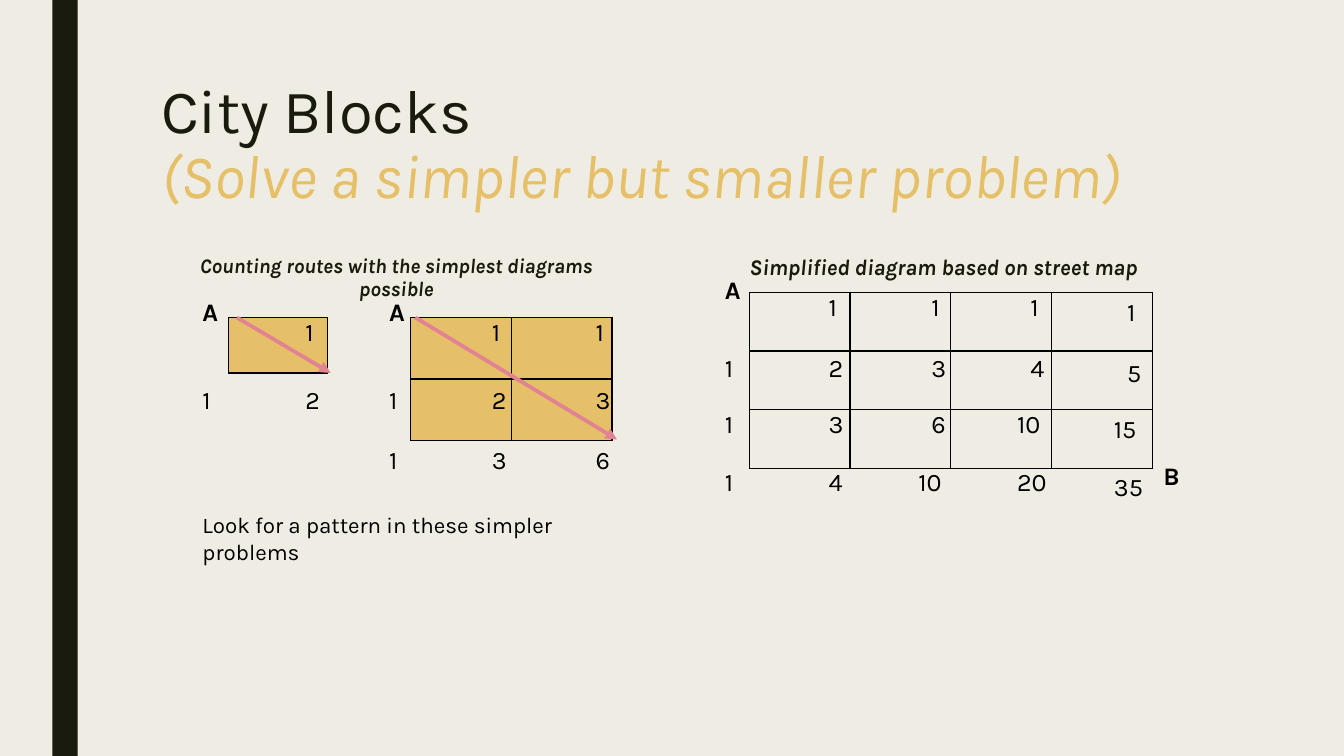
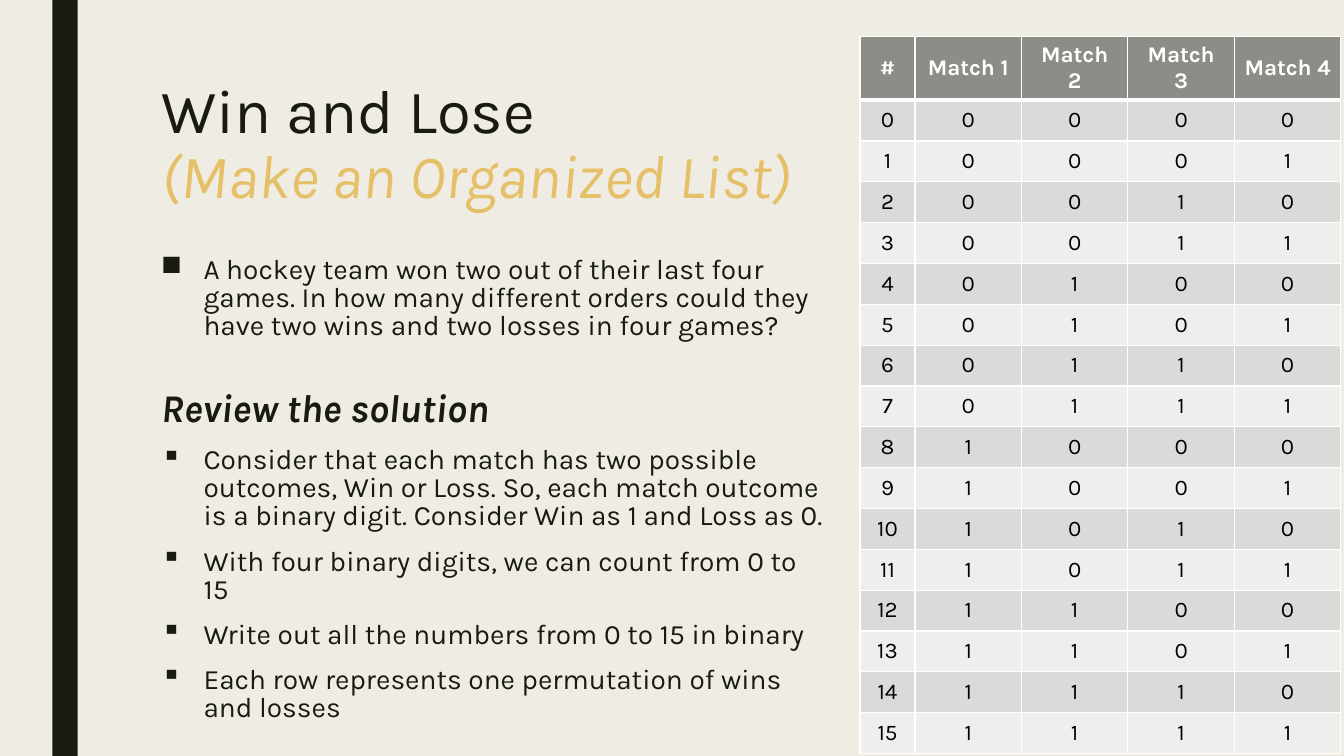
from dataclasses import dataclass
from itertools import product
from math import comb
from typing import NamedTuple

from lxml.etree import SubElement
from pptx import Presentation
from pptx.dml.color import RGBColor
from pptx.enum.shapes import MSO_CONNECTOR as Connector, MSO_SHAPE as Shape
from pptx.enum.text import MSO_ANCHOR as Anchor, PP_ALIGN as Align
from pptx.oxml.ns import qn
from pptx.util import Pt

EMU_PER_PX = 9144
FONT = "Karla"
BLACK = RGBColor(0x00, 0x00, 0x00)
WHITE = RGBColor(0xFF, 0xFF, 0xFF)
INK = RGBColor(0x19, 0x1B, 0x0E)
CREAM = RGBColor(0xEF, 0xED, 0xE3)
GOLD = RGBColor(0xE6, 0xC0, 0x69)
PINK = RGBColor(0xE2, 0x83, 0x94)
HEADER_GRAY = RGBColor(0x8C, 0x8D, 0x86)
BAND_DARK = RGBColor(0xDA, 0xDB, 0xD9)
BAND_LIGHT = RGBColor(0xEE, 0xEE, 0xED)


class Box(NamedTuple):
    left: int
    top: int
    width: int
    height: int


class Arrow(NamedTuple):
    start_x: int
    start_y: int
    end_x: int
    end_y: int


class BodyLine(NamedTuple):
    text: str
    bullet: str = ""
    size: int = 20
    emphasis: bool = False
    before: int = 10


@dataclass(frozen=True)
class RouteGrid:
    box: Box
    rows: int
    columns: int
    label_lefts: tuple[int, ...]
    label_tops: tuple[int, ...]
    start_top: int
    fill: RGBColor | None = None
    arrow: Arrow | None = None
    last_column_drop: int = 0


ROUTE_GRIDS = (
    RouteGrid(Box(227, 315, 98, 55), 1, 1, (191, 293), (309, 376), 289,
              GOLD, Arrow(235, 315, 328, 370)),
    RouteGrid(Box(407, 315, 200, 122), 2, 2, (376, 478, 581), (309, 376, 436), 289,
              GOLD, Arrow(412, 315, 612, 436)),
    RouteGrid(Box(743, 290, 400, 175), 3, 4, (709, 812, 914, 1012, 1108),
              (284, 345, 400, 458), 267, last_column_drop=5),
)

BODY_LINES = (
    BodyLine("A hockey team won two out of their last four games. In how many different "
             "orders could they have two wins and two losses in four games?", "■", before=0),
    BodyLine("Review the solution", size=28, emphasis=True, before=33),
    BodyLine("Consider that each match has two possible outcomes, Win or Loss. So, each "
             "match outcome is a binary digit. Consider Win as 1 and Loss as 0.", "▪"),
    BodyLine("With four binary digits, we can count from 0 to 15", "▪"),
    BodyLine("Write out all the numbers from 0 to 15 in binary", "▪"),
    BodyLine("Each row represents one permutation of wins and losses", "▪"),
)


def emu(px: int) -> int:
    return px * EMU_PER_PX


def place(box: Box) -> tuple[int, ...]:
    return tuple(emu(length) for length in box)


def add_run(paragraph, text: str, *, size: float = 18, color: RGBColor = BLACK,
            bold: bool = False, italic: bool = False) -> None:
    run = paragraph.add_run()
    run.text = text
    run.font.name = FONT
    run.font.size = Pt(size)
    run.font.color.rgb = color
    run.font.bold = bold
    run.font.italic = italic


def add_text_frame(slide, box: Box):
    frame = slide.shapes.add_textbox(*place(box)).text_frame
    frame.word_wrap = True
    return frame


def add_text(slide, box: Box, text: str, *, spacing: float = 1.0,
             align: Align = Align.LEFT, **run_format):
    paragraph = add_text_frame(slide, box).paragraphs[0]
    paragraph.line_spacing = spacing
    paragraph.alignment = align
    add_run(paragraph, text, **run_format)
    return paragraph


def add_base_slide(presentation, title: str, subtitle: str):
    slide = presentation.slides.add_slide(presentation.slide_layouts[6])
    band = slide.shapes.add_shape(Shape.RECTANGLE, *place(Box(52, 0, 25, 750)))
    band.shadow.inherit = False
    band.fill.solid()
    band.fill.fore_color.rgb = INK
    band.line.fill.background()
    paragraph = add_text(slide, Box(150, 75, 1050, 162), title,
                         spacing=0.89, size=44, color=INK)
    paragraph.add_line_break()
    add_run(paragraph, subtitle, size=44, color=GOLD, italic=True)
    return slide


def style_cell(cell, fill: RGBColor | None, border: RGBColor,
               top: int = 1, bottom: int = 1) -> None:
    properties = cell._tc.get_or_add_tcPr()
    for tag, width in (("a:lnL", 1), ("a:lnR", 1), ("a:lnT", top), ("a:lnB", bottom)):
        line = SubElement(properties, qn(tag), w=str(Pt(width)))
        solid = SubElement(line, qn("a:solidFill"))
        SubElement(solid, qn("a:srgbClr"), val=str(border))
    if fill is None:
        cell.fill.background()
    else:
        cell.fill.solid()
        cell.fill.fore_color.rgb = fill


def add_plain_table(slide, box: Box, rows: int, column_weights: tuple[int, ...]):
    table = slide.shapes.add_table(rows, len(column_weights), *place(box)).table
    table.first_row = False
    table.horz_banding = False
    for row in table.rows:
        row.height = emu(box.height) // rows
    for column, weight in zip(table.columns, column_weights):
        column.width = emu(box.width) * weight // sum(column_weights)
    return table


def add_arrow(slide, arrow: Arrow) -> None:
    connector = slide.shapes.add_connector(
        Connector.STRAIGHT, *(emu(length) for length in arrow))
    connector.line.color.rgb = PINK
    connector.line.width = Pt(2.75)
    SubElement(connector.line._get_or_add_ln(), qn("a:tailEnd"), type="triangle")
    SubElement(connector._element.spPr, qn("a:effectLst"))


def add_route_grid(slide, grid: RouteGrid) -> None:
    table = add_plain_table(slide, grid.box, grid.rows, (1,) * grid.columns)
    for cell in table.iter_cells():
        style_cell(cell, grid.fill, BLACK)
    add_text(slide, Box(grid.label_lefts[0], grid.start_top, 35, 40), "A", bold=True)
    for row, column in product(range(grid.rows + 1), range(grid.columns + 1)):
        if row == column == 0:
            continue
        routes = str(comb(row + column, row))
        extra = len(routes) - 1
        drop = grid.last_column_drop if column == grid.columns else 0
        add_text(slide, Box(grid.label_lefts[column] - 13 * extra,
                            grid.label_tops[row] + drop, 35 + 15 * extra, 40), routes)
    if grid.arrow:
        add_arrow(slide, grid.arrow)


def add_body(slide, box: Box, lines: tuple[BodyLine, ...]) -> None:
    frame = add_text_frame(slide, box)
    for index, line in enumerate(lines):
        paragraph = frame.add_paragraph() if index else frame.paragraphs[0]
        if line.bullet:
            properties = paragraph._p.get_or_add_pPr()
            properties.set("marL", str(emu(42)))
            properties.set("indent", str(-emu(42)))
            SubElement(properties, qn("a:buChar"), char=line.bullet)
        paragraph.line_spacing = 0.84
        paragraph.space_before = Pt(line.before)
        paragraph.space_after = Pt(2)
        add_run(paragraph, line.text, size=line.size, color=INK,
                bold=line.emphasis, italic=line.emphasis)


def add_match_table(slide, box: Box, matches: int) -> None:
    header = ["#"] + [f"Match {match}" for match in range(1, matches + 1)]
    records = [[str(number), *f"{number:0{matches}b}"] for number in range(2 ** matches)]
    table = add_plain_table(slide, box, len(records) + 1, (16,) + (31,) * matches)
    for row, values in enumerate([header, *records]):
        is_header = row == 0
        fill = HEADER_GRAY if is_header else BAND_DARK if row % 2 else BAND_LIGHT
        for column, value in enumerate(values):
            cell = table.cell(row, column)
            style_cell(cell, fill, WHITE, top=3 if row == 1 else 1,
                       bottom=3 if is_header else 1)
            cell.vertical_anchor = Anchor.MIDDLE
            paragraph = cell.text_frame.paragraphs[0]
            paragraph.alignment = Align.CENTER
            add_run(paragraph, value, size=16, bold=is_header,
                    color=WHITE if is_header else BLACK)


def build_city_blocks(presentation) -> None:
    slide = add_base_slide(presentation, "City Blocks",
                           "(Solve a simpler but smaller problem)")
    captions = (
        (150, "Counting routes with the simplest diagrams possible", 14.8),
        (693, "Simplified diagram based on street map", 16),
    )
    for left, caption, size in captions:
        add_text(slide, Box(left, 248, 486, 41), caption, spacing=0.94,
                 align=Align.CENTER, size=size, color=INK, bold=True, italic=True)
    for grid in ROUTE_GRIDS:
        add_route_grid(slide, grid)
    add_text(slide, Box(1144, 452, 35, 40), "B", bold=True)
    add_text(slide, Box(191, 502, 438, 37),
             "Look for a pattern in these simpler problems", size=16)


def build_win_and_lose(presentation) -> None:
    slide = add_base_slide(presentation, "Win and Lose", "(Make an Organized List)")
    add_body(slide, Box(150, 250, 679, 471), BODY_LINES)
    add_match_table(slide, Box(853, 36, 477, 689), 4)


def main() -> None:
    presentation = Presentation()
    presentation.slide_width = emu(1333)
    presentation.slide_height = emu(750)
    background = presentation.slide_master.background.fill
    background.solid()
    background.fore_color.rgb = CREAM
    build_city_blocks(presentation)
    build_win_and_lose(presentation)
    presentation.save("out.pptx")


if __name__ == "__main__":
    main()
